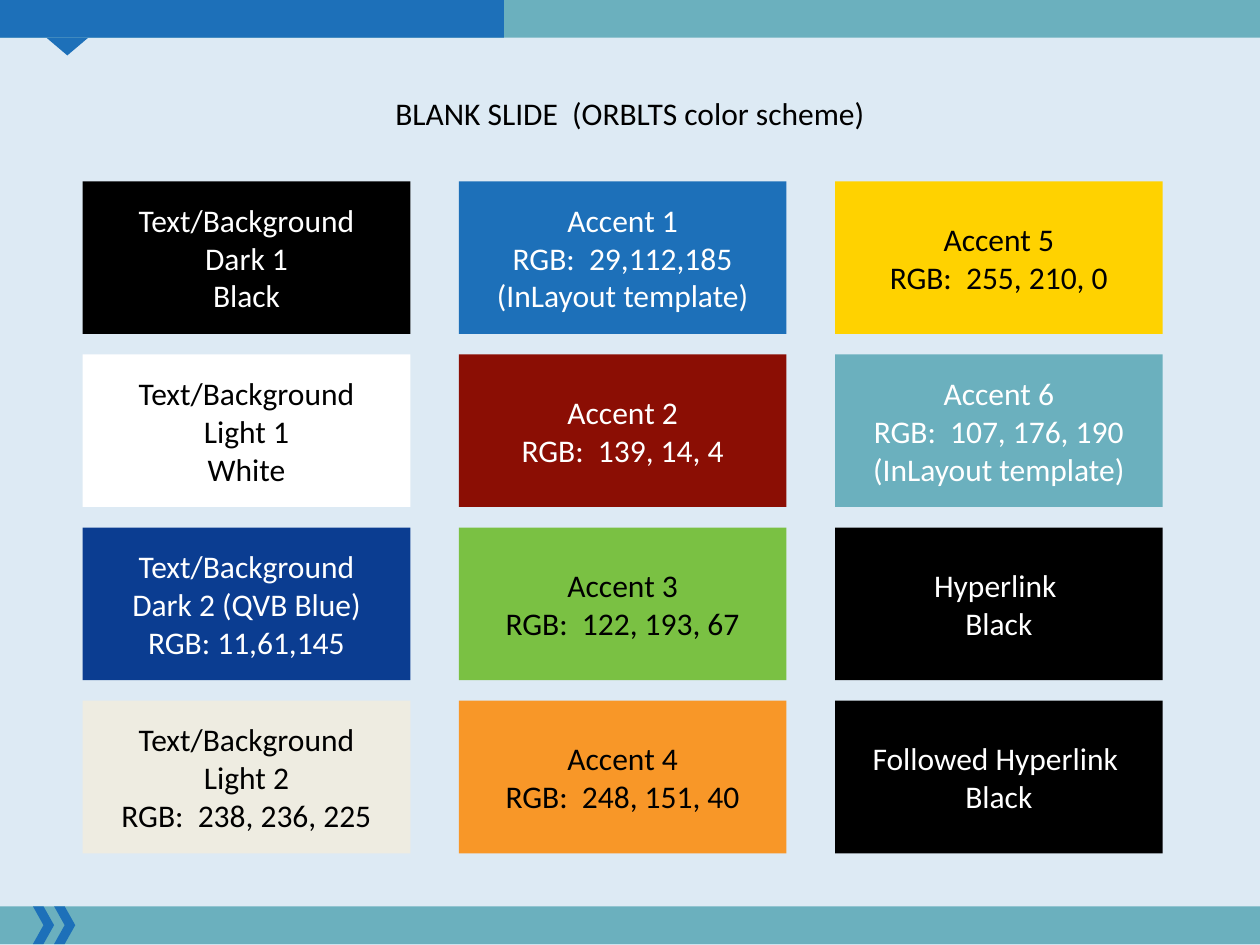
from dataclasses import dataclass

from pptx import Presentation
from pptx.dml.color import RGBColor as RGB
from pptx.enum.shapes import MSO_SHAPE as Kind
from pptx.enum.text import MSO_ANCHOR as Anchor, MSO_AUTO_SIZE as Fit, PP_ALIGN as Align
from pptx.util import Pt


@dataclass(frozen=True)
class Theme:
    font: str = "Calibri"
    size: int = 18
    back: str = "DDEAF4"
    black: str = "000000"
    white: str = "FFFFFF"
    navy: str = "0B3D91"
    cream: str = "EEECE1"
    blue: str = "1D70B9"
    red: str = "8B0E04"
    green: str = "7AC143"
    orange: str = "F89728"
    yellow: str = "FFD200"
    teal: str = "6BB0BE"


T = Theme()
WIDE, HIGH = 720, 540
BAR, FOOT = 21.6, 517.9

# Swatch columns, each from top to bottom: fill, text colour, lines
COLUMNS = [
    [
        (T.black, T.white, ["Text/Background", "Dark 1", "Black"]),
        (T.white, T.black, ["Text/Background", "Light 1", "White"]),
        (T.navy, T.white, ["Text/Background", "Dark 2 (QVB Blue)", "RGB: 11,61,145"]),
        (T.cream, T.black, ["Text/Background", "Light 2", "RGB:  238, 236, 225"]),
    ],
    [
        (T.blue, T.white, ["Accent 1", "RGB:  29,112,185", "(InLayout template)"]),
        (T.red, T.white, ["Accent 2", "RGB:  139, 14, 4"]),
        (T.green, T.black, ["Accent 3", "RGB:  122, 193, 67"]),
        (T.orange, T.black, ["Accent 4", "RGB:  248, 151, 40"]),
    ],
    [
        (T.yellow, T.black, ["Accent 5", "RGB:  255, 210, 0"]),
        (T.teal, T.white, ["Accent 6", "RGB:  107, 176, 190", "(InLayout template)"]),
        (T.black, T.white, ["Hyperlink ", "Black"]),
        (T.black, T.white, ["Followed Hyperlink ", "Black"]),
    ],
]


def add_block(slide, kind, box, fill):
    shape = slide.shapes.add_shape(kind, *map(Pt, box))
    shape.shadow.inherit = False
    shape.fill.solid()
    shape.fill.fore_color.rgb = RGB.from_string(fill)
    shape.line.fill.background()
    return shape


def set_text(shape, lines, color):
    frame = shape.text_frame
    frame.text = "\n".join(lines)
    frame.word_wrap = True
    frame.auto_size = Fit.NONE
    frame.vertical_anchor = Anchor.MIDDLE
    for par in frame.paragraphs:
        par.alignment = Align.CENTER
        par.font.name = T.font
        par.font.size = Pt(T.size)
        par.font.color.rgb = RGB.from_string(color)


def add_bands(slide):
    # Header bar with its pointer
    add_block(slide, Kind.RECTANGLE, (0, 0, WIDE, BAR), T.teal)
    add_block(slide, Kind.RECTANGLE, (0, 0, 288, BAR), T.blue)
    add_block(slide, Kind.FLOWCHART_MERGE, (26.6, BAR, 23.8, 10.1), T.blue)
    # Footer bar with two chevrons
    add_block(slide, Kind.RECTANGLE, (0, FOOT, WIDE, BAR), T.teal)
    for left in (18.8, 30.9):
        add_block(slide, Kind.CHEVRON, (left, FOOT, 12.1, BAR), T.blue)


def set_title(slide):
    title = slide.shapes.title
    title.left, title.top, title.width, title.height = map(Pt, (165.3, 50, 389.4, 29))
    set_text(title, ["BLANK SLIDE  (ORBLTS color scheme)"], T.black)


def add_grid(slide):
    for col, items in enumerate(COLUMNS):
        for row, (fill, ink, lines) in enumerate(items):
            box = (47.3 + col * 214.95, 103.6 + row * 98.95, 187.2, 87.2)
            set_text(add_block(slide, Kind.RECTANGLE, box, fill), lines, ink)


def main():
    deck = Presentation()
    deck.slide_width, deck.slide_height = Pt(WIDE), Pt(HIGH)
    slide = deck.slides.add_slide(deck.slide_layouts[5])
    slide.background.fill.solid()
    slide.background.fill.fore_color.rgb = RGB.from_string(T.back)
    add_bands(slide)
    set_title(slide)
    add_grid(slide)
    deck.save("out.pptx")


if __name__ == "__main__":
    main()
